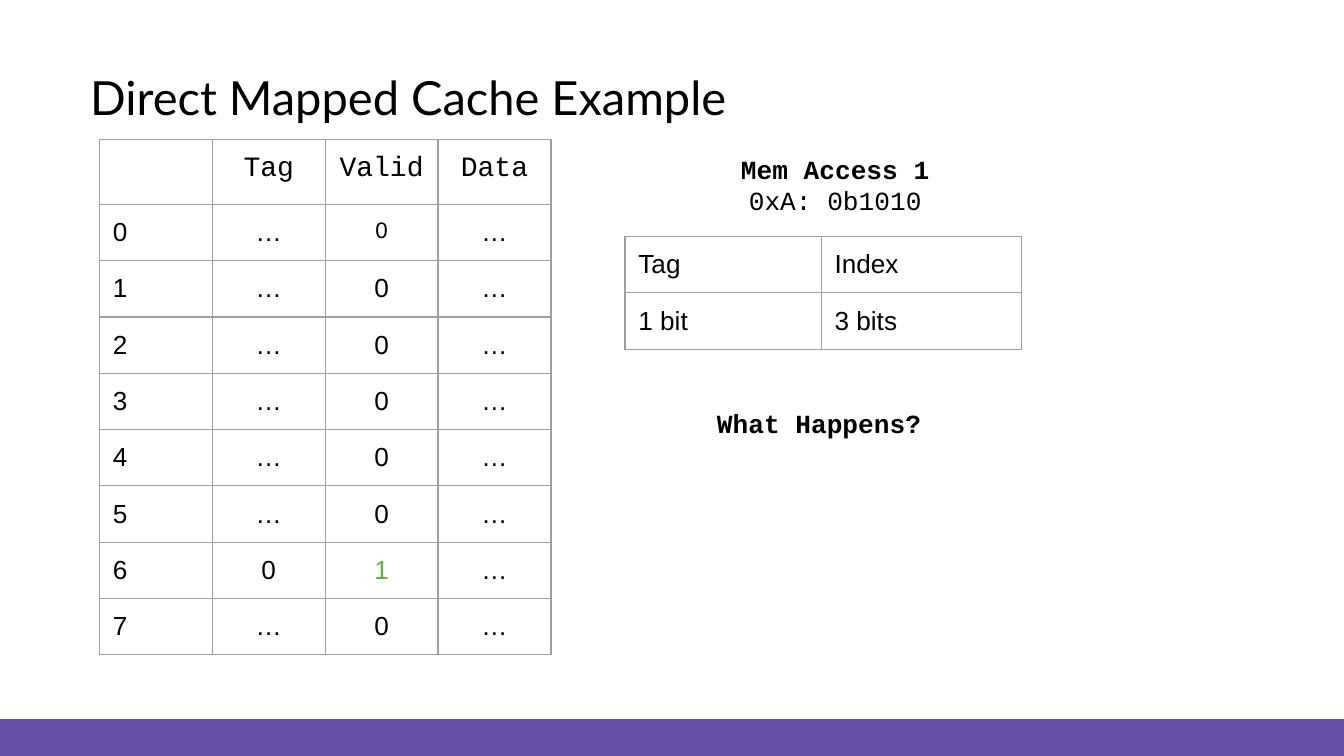
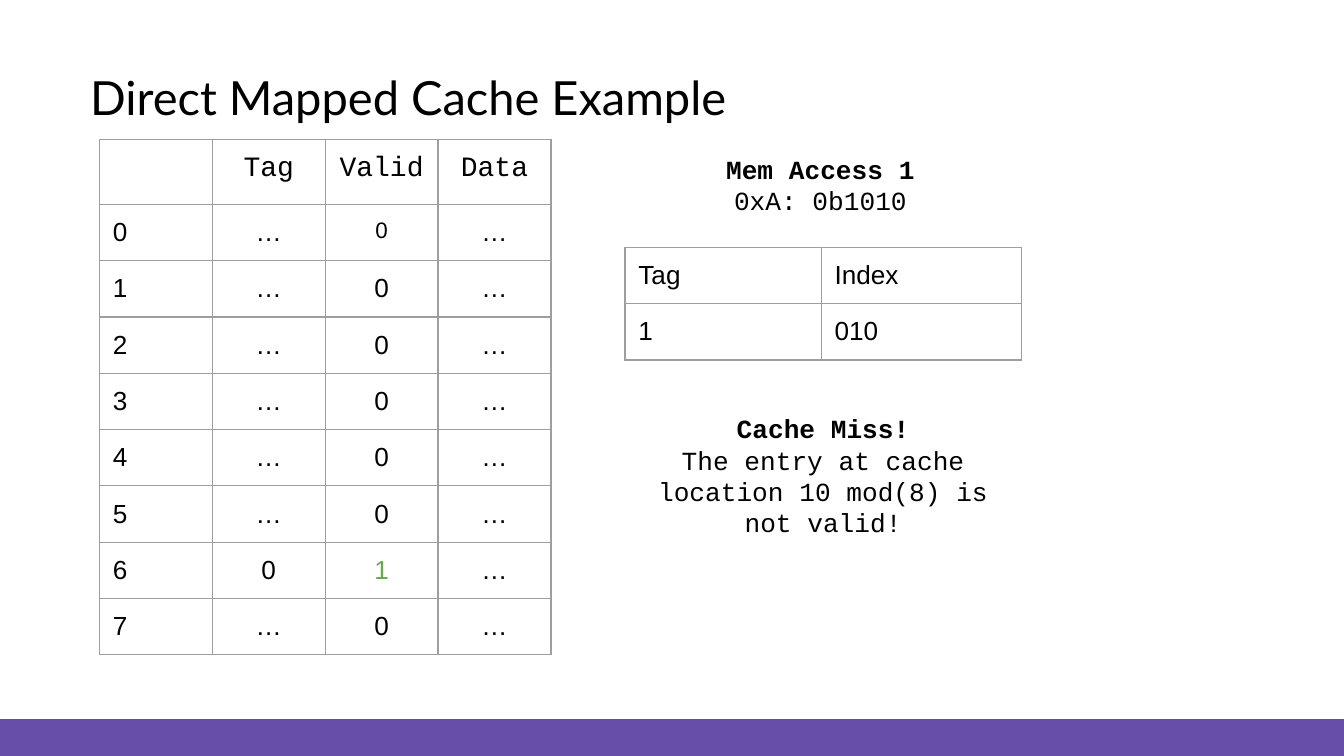
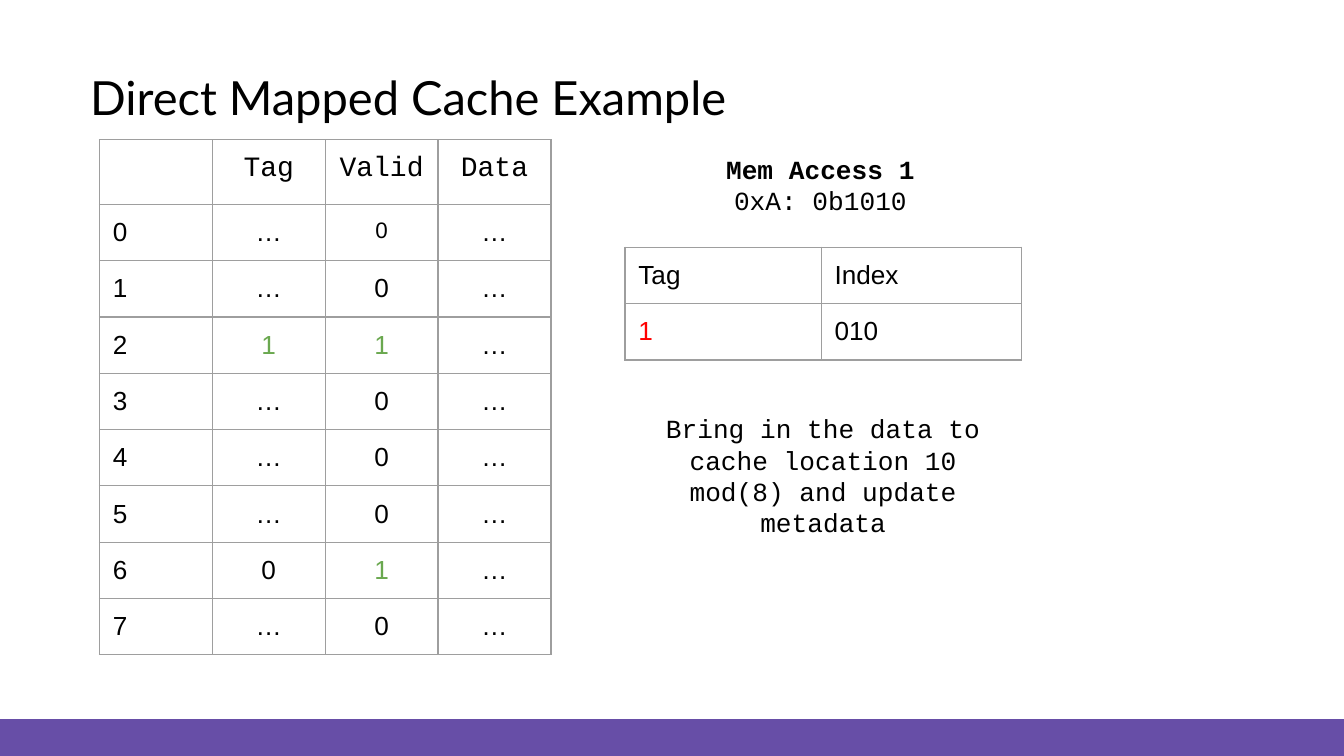
from pptx import Presentation
from pptx.dml.color import RGBColor
from pptx.enum.shapes import MSO_SHAPE
from pptx.enum.text import MSO_ANCHOR, PP_ALIGN
from pptx.oxml import parse_xml
from pptx.oxml.ns import nsdecls
from pptx.util import Inches, Pt

BLACK = RGBColor(0x00, 0x00, 0x00)
PURPLE = RGBColor(0x67, 0x4E, 0xA7)
GREEN = RGBColor(0x6A, 0xA8, 0x4F)
RED = RGBColor(0xFF, 0x00, 0x00)
GRID = RGBColor(0x9E, 0x9E, 0x9E)

SANS, MONO, TITLE_FONT = "Arial", "Courier New", "Lato"
BODY_SIZE = 14
PAD = Inches(0.1)

TITLE = "Direct Mapped Cache Example"
HEADERS = ["", "Tag", "Valid", "Data"]
CACHE_LINES = 8
EMPTY_LINE = [("…", BLACK), ("0", BLACK), ("…", BLACK)]
LINE_6 = [("0", BLACK), ("1", GREEN), ("…", BLACK)]
LINE_2 = [("1", GREEN), ("1", GREEN), ("…", BLACK)]
ACCESS = [("Mem Access 1", True), ("0xA: 0b1010", False)]

# Notes and access lines are (text, bold); address fields are (text, colour).
SLIDES = [
    dict(
        filled={6: LINE_6},
        access_left=4.74,
        fields=[("1 bit", BLACK), ("3 bits", BLACK)],
        fields_top=1.76, field_rows=[0.07, 0.07],
        note=[("What Happens?", True)], note_at=(4.62, 2.93),
    ),
    dict(
        filled={6: LINE_6},
        access_left=4.63,
        fields=[("1", BLACK), ("010", BLACK)],
        fields_top=1.84, field_rows=[0.29, 0.25],
        note=[("Cache Miss!", True),
              ("The entry at cache location 10 mod(8) is not valid!", False)],
        note_at=(4.65, 2.97),
    ),
    dict(
        filled={2: LINE_2, 6: LINE_6},
        access_left=4.63,
        fields=[("1", RED), ("010", BLACK)],
        fields_top=1.84, field_rows=[0.29, 0.25],
        note=[("Bring in the data to cache location 10 mod(8) "
               "and update metadata", False)],
        note_at=(4.65, 2.97),
    ),
]


def style(p, font=SANS, size=BODY_SIZE, color=BLACK, bold=False, align=PP_ALIGN.LEFT):
    p.alignment = align
    p.font.name = font
    p.font.size = Pt(size)
    p.font.color.rgb = color
    p.font.bold = bold


def set_padding(box):
    """Give a text frame or a table cell the same margin on all sides."""
    box.margin_left = box.margin_right = box.margin_top = box.margin_bottom = PAD


def add_borders(cell):
    tcPr = cell._tc.get_or_add_tcPr()
    for i, side in enumerate(("lnL", "lnR", "lnT", "lnB")):
        tcPr.insert(i, parse_xml(
            f'<a:{side} {nsdecls("a")} w="{Pt(0.75)}"><a:solidFill>'
            f'<a:srgbClr val="{GRID}"/></a:solidFill></a:{side}>'))


def add_grid(slide, left, top, col_widths, row_heights):
    table = slide.shapes.add_table(
        len(row_heights), len(col_widths), Inches(left), Inches(top),
        Inches(sum(col_widths)), Inches(sum(row_heights))).table
    table.first_row = table.horz_banding = False
    for col, width in zip(table.columns, col_widths):
        col.width = Inches(width)
    for row, height in zip(table.rows, row_heights):
        row.height = Inches(height)
    for cell in table.iter_cells():
        set_padding(cell)
        cell.fill.background()
        add_borders(cell)
    return table


def write(cell, text, **look):
    p = cell.text_frame.paragraphs[0]
    p.text = text
    style(p, **look)


def size_blank(cell, size):
    """Set the type size that gives a cell without text its height."""
    cell.text_frame.paragraphs[0]._p.append(parse_xml(
        f'<a:endParaRPr {nsdecls("a")} sz="{size * 100}">'
        f'<a:latin typeface="{SANS}"/></a:endParaRPr>'))


def add_cache(slide, filled):
    table = add_grid(slide, 0.74, 1.04, [0.84] * len(HEADERS),
                     [0.33] + [0.32] * CACHE_LINES)
    size_blank(table.cell(0, 0), 18)
    for c, text in enumerate(HEADERS[1:], 1):
        write(table.cell(0, c), text, font=MONO, size=15, align=PP_ALIGN.CENTER)
    for line in range(CACHE_LINES):
        write(table.cell(line + 1, 0), str(line))
        for c, (text, color) in enumerate(filled.get(line, EMPTY_LINE), 1):
            size = 12 if (line, HEADERS[c]) == (0, "Valid") else BODY_SIZE
            write(table.cell(line + 1, c), text, size=size, color=color,
                  align=PP_ALIGN.CENTER)


def add_address_fields(slide, top, row_heights, fields):
    table = add_grid(slide, 4.65, top, [1.46, 1.49], row_heights)
    for c, (name, (value, color)) in enumerate(zip(("Tag", "Index"), fields)):
        write(table.cell(0, c), name)
        write(table.cell(1, c), value, color=color)


def add_note(slide, left, top, height, lines):
    tf = slide.shapes.add_textbox(
        Inches(left), Inches(top), Inches(2.95), Inches(height)).text_frame
    tf.word_wrap = True
    set_padding(tf)
    for i, (text, bold) in enumerate(lines):
        p = tf.add_paragraph() if i else tf.paragraphs[0]
        p.text = text
        style(p, font=MONO, bold=bold, align=PP_ALIGN.CENTER)


def add_title(slide):
    sp = slide.shapes.title
    sp.left, sp.top, sp.width, sp.height = map(Inches, (0.57, 0.41, 8.86, 0.63))
    tf = sp.text_frame
    tf.text = TITLE
    tf.vertical_anchor = MSO_ANCHOR.TOP
    set_padding(tf)
    style(tf.paragraphs[0], font=TITLE_FONT, size=25.2)


def add_band(slide):
    """Draw the bottom band and hand it to the layout, so all slides show it."""
    sp = slide.shapes.add_shape(MSO_SHAPE.RECTANGLE, 0, Inches(5.35),
                                Inches(10), Inches(0.28))
    sp.shadow.inherit = False
    sp.fill.solid()
    sp.fill.fore_color.rgb = PURPLE
    sp.line.fill.background()
    slide.slide_layout.shapes.element.append(sp.element)


def main():
    prs = Presentation()
    prs.slide_width = Inches(10)
    prs.slide_height = prs.slide_width * 9 // 16
    layout = prs.slide_layouts.get_by_name("Title Only")
    for i, content in enumerate(SLIDES):
        slide = prs.slides.add_slide(layout)
        if i == 0:
            add_band(slide)
        add_title(slide)
        add_cache(slide, content["filled"])
        add_address_fields(slide, content["fields_top"], content["field_rows"],
                           content["fields"])
        add_note(slide, *content["note_at"], 0.9, content["note"])
        add_note(slide, content["access_left"], 1.04, 0.56, ACCESS)
    prs.save("out.pptx")


if __name__ == "__main__":
    main()
